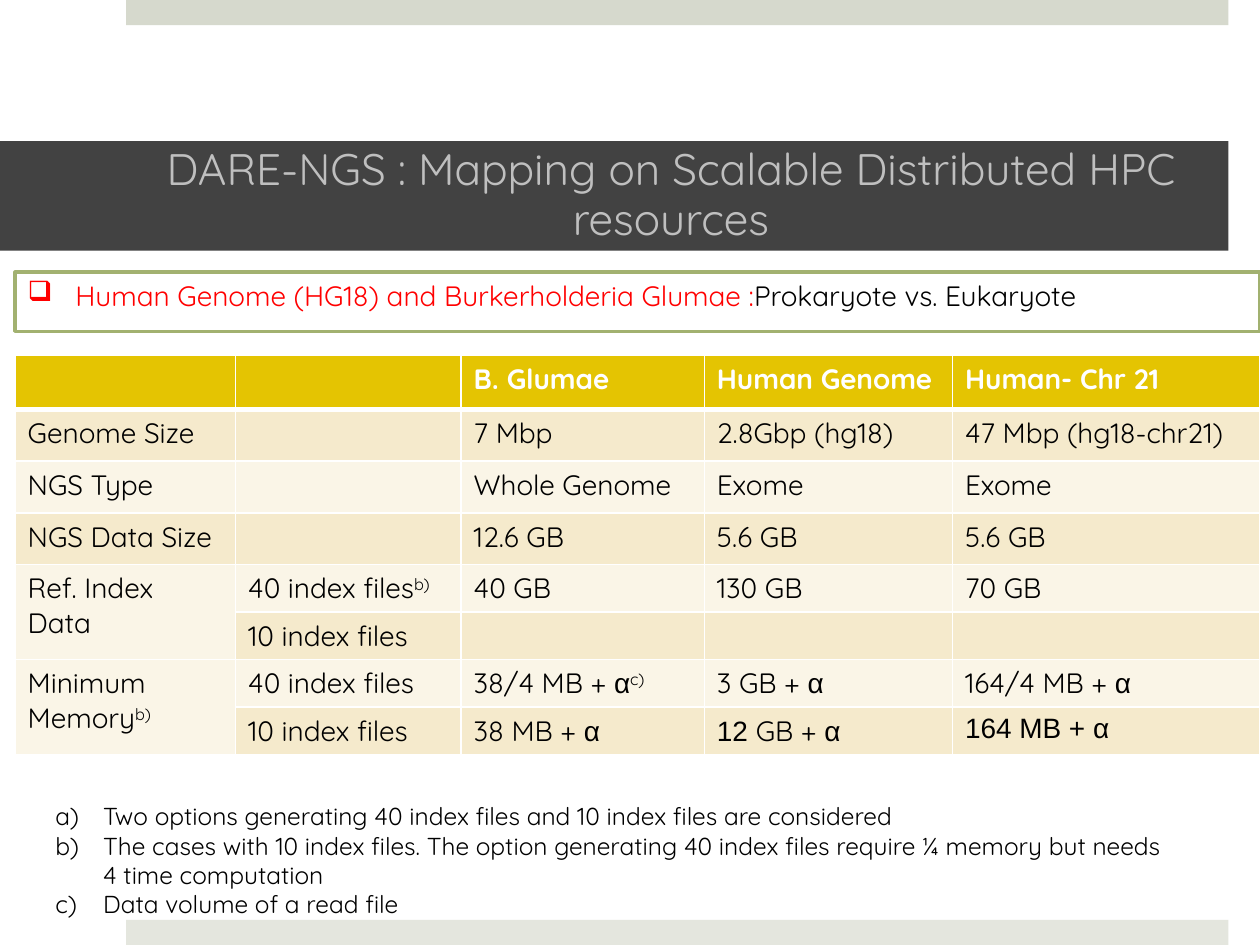
from typing import NamedTuple

from lxml.etree import SubElement
from pptx import Presentation
from pptx.dml.color import RGBColor
from pptx.enum.shapes import MSO_SHAPE
from pptx.enum.text import MSO_ANCHOR, PP_ALIGN
from pptx.oxml.ns import qn
from pptx.util import Pt

PX = 9144  # 100 px to the inch
FONT, SYMBOL_FONT = "Quicksand", "Arial"
BLACK, WHITE = "000000", "FFFFFF"
HEADER_FILL, BAND_FILLS = "E4C402", ("FAF5E7", "F5EACC")
INDENT = 38


class Span(NamedTuple):
    text: str
    font: str = FONT
    color: str = ""
    raised: bool = False


class Box(NamedTuple):
    left: int
    top: int
    width: int
    height: int

    def emu(self) -> list[int]:
        return [side * PX for side in self]


def rgb(code: str) -> RGBColor:
    return RGBColor.from_string(code)


def draw_rect(slide, box: Box, fill: str, outline: str = ""):
    rect = slide.shapes.add_shape(MSO_SHAPE.RECTANGLE, *box.emu())
    rect.shadow.inherit = False
    rect.fill.solid()
    rect.fill.fore_color.rgb = rgb(fill)
    if outline:
        rect.line.color.rgb = rgb(outline)
        rect.line.width = Pt(2)
    else:
        rect.line.fill.background()
    rect.text_frame.word_wrap = True
    return rect


def add_bullet(paragraph, tag: str, **attributes: str) -> None:
    properties = paragraph._p.get_or_add_pPr()
    properties.set("marL", str(INDENT * PX))
    properties.set("indent", str(-INDENT * PX))
    SubElement(properties, qn(tag), attributes)


def write(paragraph, spans: list[Span], size: float, color: str = BLACK,
          bold: bool = False) -> None:
    fonts = {span.font for span in spans}
    paragraph.font.size = Pt(size)
    paragraph.font.bold = bold
    paragraph.font.color.rgb = rgb(color)
    if len(fonts) == 1:
        paragraph.font.name = fonts.pop()
    for span in spans:
        run = paragraph.add_run()
        run.text = span.text
        if paragraph.font.name is None:
            run.font.name = span.font
        if span.color:
            run.font.color.rgb = rgb(span.color)
        if span.raised:
            run.font._element.set("baseline", "30000")


def draw_borders(cell, bottom_points: int) -> None:
    properties = cell._tc.get_or_add_tcPr()
    widths = {"a:lnL": 1, "a:lnR": 1, "a:lnT": 1, "a:lnB": bottom_points}
    for position, (tag, points) in enumerate(widths.items()):
        line = SubElement(properties, qn(tag), w=str(Pt(points)))
        SubElement(SubElement(line, qn("a:solidFill")), qn("a:srgbClr"), val=WHITE)
        properties.insert(position, line)


def fill_cell(cell, spans: list[Span], row: int) -> None:
    is_header = row == 0
    cell.fill.solid()
    cell.fill.fore_color.rgb = rgb(HEADER_FILL if is_header else BAND_FILLS[row % 2])
    draw_borders(cell, 3 if is_header else 1)
    paragraph = cell.text_frame.paragraphs[0]
    if spans:
        write(paragraph, spans, 16, WHITE if is_header else BLACK, is_header)
    else:
        SubElement(paragraph._p, qn("a:endParaRPr"), sz="1600")


ALPHA = Span("α", SYMBOL_FONT)
NOTE_B, NOTE_C = Span("b)", raised=True), Span("c)", raised=True)

# A cell is empty, a plain string or a list of spans
GENOME_ROWS = [
    ["", "", "B. Glumae", "Human Genome", "Human- Chr 21"],
    ["Genome Size", "", "7 Mbp", "2.8Gbp (hg18)", "47 Mbp (hg18-chr21)"],
    ["NGS Type", "", "Whole Genome", "Exome", "Exome"],
    ["NGS Data Size", "", "12.6 GB", "5.6 GB", "5.6 GB"],
    ["Ref. Index Data", [Span("40 index files"), NOTE_B], "40 GB", "130 GB", "70 GB"],
    ["", "10 index files", "", "", ""],
    [[Span("Minimum Memory"), NOTE_B], "40 index files",
     [Span("38/4 MB + "), ALPHA, NOTE_C], [Span("3 GB + "), ALPHA],
     [Span("164/4 MB +"), Span(" α", SYMBOL_FONT)]],
    ["", "10 index files", [Span("38 MB + "), ALPHA],
     [Span("12 ", SYMBOL_FONT), Span("GB + "), ALPHA],
     [Span("164 ΜΒ + α", SYMBOL_FONT)]],
]
COLUMN_WIDTHS = [175, 179, 193, 197, 244]
ROW_HEIGHTS = [43] + [41] * 3 + [32] * 4
MERGED_ROWS = [(4, 5), (6, 7)]

FOOTNOTES = [
    "Two options generating 40 index files and 10 index files are considered",
    "The cases with 10 index files. The option generating 40 index files "
    "require ¼ memory but needs 4 time computation",
    "Data volume of a read file",
]


def draw_title(slide) -> None:
    frame = draw_rect(slide, Box(0, 112, 975, 87), "424242").text_frame
    frame.margin_left, frame.margin_right = 120 * PX, 30 * PX
    frame.vertical_anchor = MSO_ANCHOR.MIDDLE
    heading = frame.paragraphs[0]
    heading.alignment = PP_ALIGN.CENTER
    heading.line_spacing = 0.94
    write(heading, [Span("DARE-NGS : Mapping on Scalable Distributed HPC resources")],
          25.2, "BFBFBF")


def draw_subject(slide) -> None:
    frame = draw_rect(slide, Box(12, 216, 988, 47), WHITE, "A2B170").text_frame
    frame.vertical_anchor = MSO_ANCHOR.TOP
    subject = frame.paragraphs[0]
    subject.alignment = PP_ALIGN.LEFT
    add_bullet(subject, "a:buChar", char="❑")
    write(subject, [
        Span("Human Genome (HG18) and Burkerholderia Glumae :", color="FF0000"),
        Span("Prokaryote vs. Eukaryote"),
    ], 16)


def draw_genome_table(slide) -> None:
    box = Box(12, 282, sum(COLUMN_WIDTHS), sum(ROW_HEIGHTS))
    table = slide.shapes.add_table(
        len(ROW_HEIGHTS), len(COLUMN_WIDTHS), *box.emu()).table
    for column, width in zip(table.columns, COLUMN_WIDTHS):
        column.width = width * PX
    for row, height in zip(table.rows, ROW_HEIGHTS):
        row.height = height * PX
    for row, contents in enumerate(GENOME_ROWS):
        for column, content in enumerate(contents):
            spans = [Span(content)] if content and isinstance(content, str) else content
            fill_cell(table.cell(row, column), spans, row)
    for first, last in MERGED_ROWS:
        table.cell(first, 0).merge(table.cell(last, 0))


def draw_footnotes(slide) -> None:
    frame = slide.shapes.add_textbox(*Box(34, 631, 898, 104).emu()).text_frame
    frame.word_wrap = True
    for number, footnote in enumerate(FOOTNOTES):
        paragraph = frame.add_paragraph() if number else frame.paragraphs[0]
        add_bullet(paragraph, "a:buAutoNum", type="alphaLcParenR")
        write(paragraph, [Span(footnote)], 14)


def main() -> None:
    deck = Presentation()
    deck.slide_width, deck.slide_height = 1000 * PX, 750 * PX
    slide = deck.slides.add_slide(deck.slide_layouts[6])

    # Top and bottom bands
    draw_rect(slide, Box(100, 0, 875, 20), "D6D9CD")
    draw_rect(slide, Box(100, 730, 875, 20), "E4E6DE")

    draw_title(slide)
    draw_subject(slide)
    draw_genome_table(slide)
    draw_footnotes(slide)
    deck.save("out.pptx")


if __name__ == "__main__":
    main()
